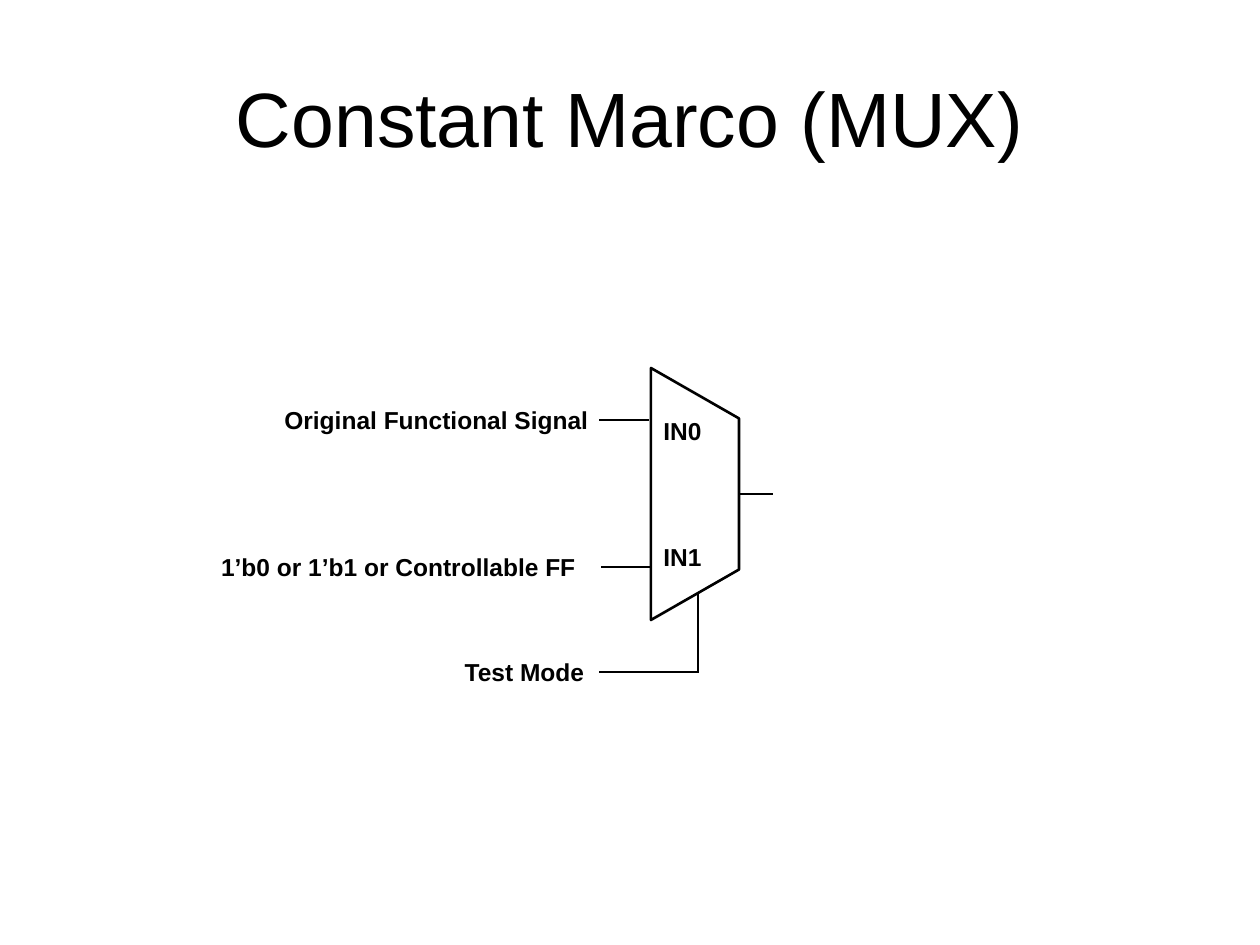
from lxml.etree import SubElement
from pptx import Presentation
from pptx.dml.color import RGBColor
from pptx.enum.shapes import MSO_CONNECTOR, MSO_SHAPE
from pptx.enum.text import MSO_ANCHOR, MSO_AUTO_SIZE, PP_ALIGN
from pptx.oxml.ns import qn
from pptx.util import Pt

SCALE = 914400 / 126
COLORS = {"ink": "000000", "paper": "FFFFFF"}
LINE_WIDTH = Pt(1.5)
LABEL_HEIGHT = 43

TITLE = ("Constant Marco (MUX)", (63, 38, 1134, 157))
LABELS = [
    ("IN0", 651, 410, 66, PP_ALIGN.LEFT),
    ("IN1", 651, 536, 66, PP_ALIGN.LEFT),
    ("Test Mode", 449, 651, 151, PP_ALIGN.CENTER),
    ("Original Functional Signal", 268, 399, 337, PP_ALIGN.CENTER),
    ("1’b0 or 1’b1 or Controllable FF", 205, 546, 387, PP_ALIGN.CENTER),
]
WIRES = [
    (651, 567, 601, 567),
    (699, 672, 599, 672),
    (698, 588, 698, 672),
    (649, 420, 599, 420),
    (773, 494, 735, 494),
]
MUX_CENTER = (695, 494)
MUX_SIZE = (252, 88)

TITLE_FORMAT = {"size": Pt(44), "bold": False}
LABEL_FORMAT = {"size": Pt(14), "bold": True}


def emu(*lengths):
    return [round(length * SCALE) for length in lengths]


def color(name):
    return RGBColor.from_string(COLORS[name])


def set_line(shape):
    shape.line.color.rgb = color("ink")
    shape.line.width = LINE_WIDTH


def add_text(slide, text, box, align, font_format, frame_format):
    frame = slide.shapes.add_textbox(*emu(*box)).text_frame
    for name, value in frame_format.items():
        setattr(frame, name, value)
    paragraph = frame.paragraphs[0]
    paragraph.alignment = align
    run = paragraph.add_run()
    run.text = text
    for name, value in {"name": "Arial", **font_format}.items():
        setattr(run.font, name, value)
    run.font.color.rgb = color("ink")


def add_wire(slide, ends):
    wire = slide.shapes.add_connector(MSO_CONNECTOR.STRAIGHT, *emu(*ends))
    set_line(wire)
    SubElement(wire._element.spPr, qn("a:effectLst"))


def add_mux(slide):
    corner = [center - size / 2 for center, size in zip(MUX_CENTER, MUX_SIZE)]
    mux = slide.shapes.add_shape(
        MSO_SHAPE.FLOWCHART_MANUAL_OPERATION, *emu(*corner, *MUX_SIZE))
    mux.rotation = 270
    mux.shadow.inherit = False
    mux.fill.solid()
    mux.fill.fore_color.rgb = color("paper")
    set_line(mux)


def main():
    presentation = Presentation()
    presentation.slide_width, presentation.slide_height = emu(1260, 945)
    slide = presentation.slides.add_slide(presentation.slide_layouts[6])

    text, box = TITLE
    add_text(slide, text, box, PP_ALIGN.CENTER, TITLE_FORMAT,
             {"word_wrap": True, "vertical_anchor": MSO_ANCHOR.MIDDLE})
    for ends in WIRES:
        add_wire(slide, ends)
    add_mux(slide)
    for text, left, top, width, align in LABELS:
        add_text(slide, text, (left, top, width, LABEL_HEIGHT), align, LABEL_FORMAT,
                 {"word_wrap": False, "auto_size": MSO_AUTO_SIZE.SHAPE_TO_FIT_TEXT})

    presentation.save("out.pptx")


if __name__ == "__main__":
    main()
